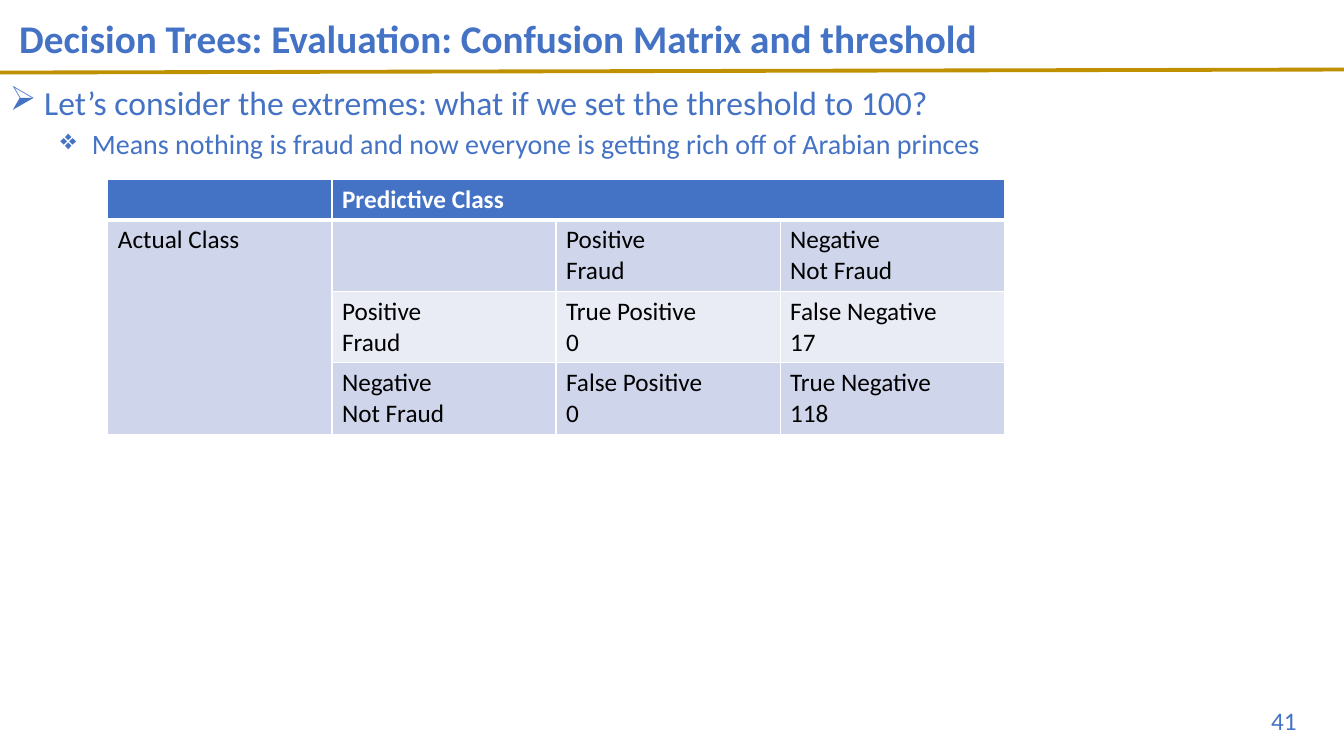
from lxml import etree
from pptx import Presentation
from pptx.dml.color import RGBColor
from pptx.enum.shapes import MSO_CONNECTOR
from pptx.enum.text import MSO_ANCHOR, PP_ALIGN
from pptx.oxml.ns import qn
from pptx.util import Inches, Pt

LINE = MSO_CONNECTOR.STRAIGHT
MIDDLE = MSO_ANCHOR.MIDDLE
LEFT, RIGHT = PP_ALIGN.LEFT, PP_ALIGN.RIGHT
BLUE = RGBColor(0x44, 0x72, 0xC4)
GOLD = RGBColor(0xBF, 0x90, 0x00)
DARK = RGBColor(0xCF, 0xD5, 0xEA)
LIGHT = RGBColor(0xE9, 0xEB, 0xF5)
WHITE = RGBColor(0xFF, 0xFF, 0xFF)
BLACK = RGBColor(0, 0, 0)


def style(para, size, color, bold=False):
    """Set the font of a paragraph and its runs."""
    form = {"name": "Calibri", "size": Pt(size), "bold": bold}
    for part in (para, *para.runs):
        for key, value in form.items():
            setattr(part.font, key, value)
        part.font.color.rgb = color


def border(cell, widths):
    """Draw white cell borders, given widths in points by side."""
    props = cell._tc.get_or_add_tcPr()
    for spot, (side, width) in enumerate(widths.items()):
        edge = etree.Element(qn("a:ln" + side), w=str(Pt(width)))
        fill = etree.SubElement(edge, qn("a:solidFill"))
        etree.SubElement(fill, qn("a:srgbClr"), val=str(WHITE))
        props.insert(spot, edge)


deck = Presentation()
deck.slide_width, deck.slide_height = Inches(13.33), Inches(7.5)
slide = deck.slides.add_slide(deck.slide_layouts[5])
shapes = slide.shapes

# Rule under the title
rule = shapes.add_connector(LINE, 0, Inches(0.72), Inches(13.33), Inches(0.69))
rule.line.color.rgb = GOLD
rule.line.width = Pt(2.75)
etree.SubElement(rule._element.spPr, qn("a:effectLst"))

# Title
title = shapes.title
title.left, title.top = Inches(0.09), 0
title.width, title.height = Inches(11.5), Inches(0.8)
title.text_frame.text = "Decision Trees: Evaluation: Confusion Matrix and threshold"
title.text_frame.vertical_anchor = MIDDLE
head = title.text_frame.paragraphs[0]
head.alignment = LEFT
head.line_spacing = 0.9
style(head, 28, BLUE, True)

# Slide number
page = shapes.add_textbox(Inches(9.96), Inches(6.95), Inches(3), Inches(0.4))
page.text_frame.word_wrap = True
page.text_frame.text = "41"
mark = page.text_frame.paragraphs[0]
mark.alignment = RIGHT
style(mark, 18, BLUE)

# Confusion matrix
ROWS = [
    ["", "Predictive Class", "", ""],
    ["Actual Class", "", "Positive\nFraud", "Negative\nNot Fraud"],
    ["", "Positive\nFraud", "True Positive\n0", "False Negative\n17"],
    ["", "Negative\nNot Fraud", "False Positive\n0", "True Negative\n118"],
]
FILLS = [BLUE, DARK, LIGHT, DARK]
HEIGHTS = [0.39, 0.71, 0.71, 0.71]
matrix = shapes.add_table(4, 4, Inches(1.07), Inches(1.78),
                          Inches(8.89), Inches(sum(HEIGHTS))).table
for r, words in enumerate(ROWS):
    matrix.rows[r].height = Inches(HEIGHTS[r])
    for c, text in enumerate(words):
        cell = matrix.cell(r, c)
        cell.text = text
        cell.fill.solid()
        cell.fill.fore_color.rgb = FILLS[r]
        for para in cell.text_frame.paragraphs:
            style(para, 18, BLACK if r else WHITE, r == 0)
        border(cell, {"L": 1, "R": 1, "T": 3 if r == 1 else 1, "B": 1 if r else 3})
matrix.cell(0, 1).merge(matrix.cell(0, 3))
matrix.cell(1, 0).merge(matrix.cell(3, 0))

# Bullets: text, level, sign, size, space before, left margin
POINTS = [
    (" Let’s consider the extremes: what if we set the threshold to 100?",
     0, "➢", 24, 10, 0.25),
    (" Means nothing is fraud and now everyone is getting rich off of Arabian princes",
     1, "❖", 20, 5, 0.75),
]
body = shapes.add_textbox(0, Inches(0.81), Inches(11.5), Inches(0.8)).text_frame
body.word_wrap = True
body.text = "\n".join(point[0] for point in POINTS)
for para, (_, level, sign, size, space, margin) in zip(body.paragraphs, POINTS):
    para.level = level
    para.line_spacing = 0.9
    para.space_before = Pt(space)
    style(para, size, BLUE)
    props = para._p.get_or_add_pPr()
    props.set("marL", str(Inches(margin)))
    props.set("indent", str(Inches(-0.25)))
    bullet = etree.Element(qn("a:buChar"), char=sign)
    props.find(qn("a:spcBef")).addnext(bullet)

deck.save("out.pptx")
